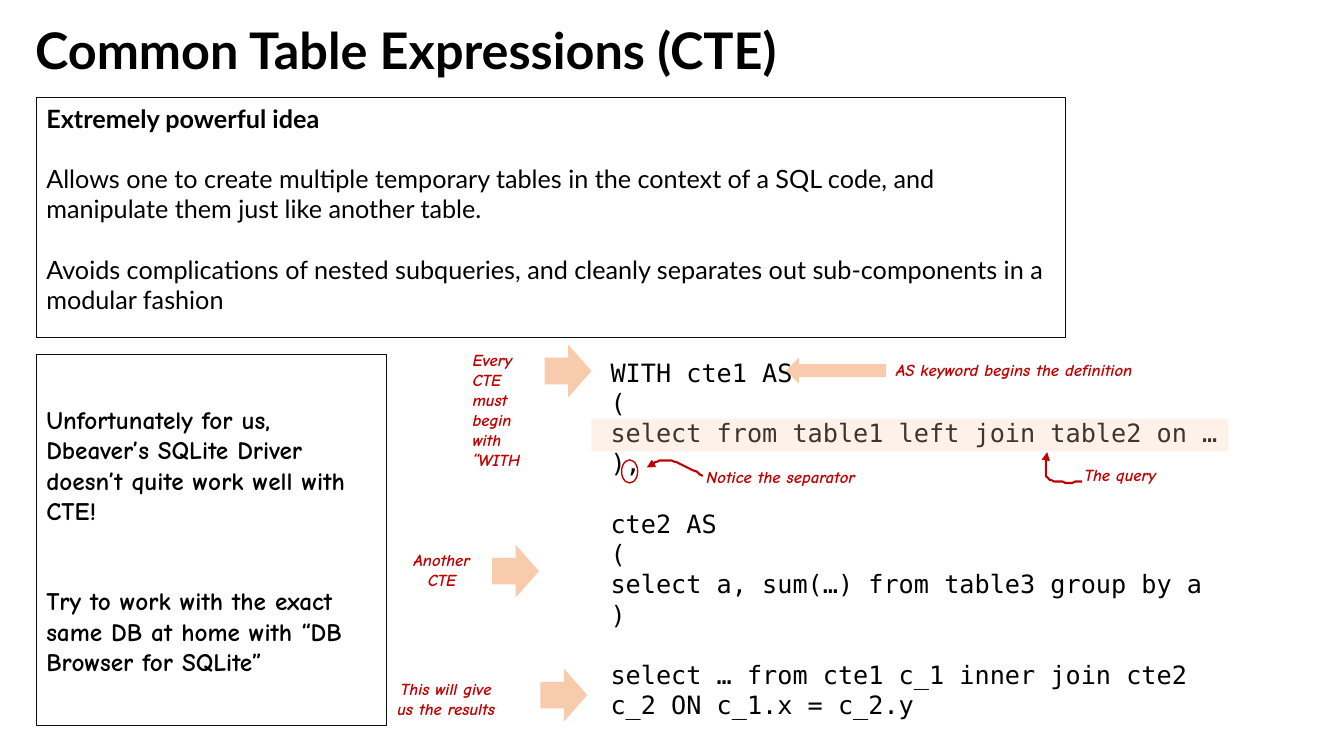
from lxml import etree
from pptx import Presentation
from pptx.dml.color import RGBColor
from pptx.enum.shapes import MSO_SHAPE
from pptx.enum.text import MSO_ANCHOR, PP_ALIGN
from pptx.oxml.ns import qn
from pptx.util import Pt

RECTANGLE, ELLIPSE = MSO_SHAPE.RECTANGLE, MSO_SHAPE.OVAL
RIGHT_ARROW, LEFT_ARROW = MSO_SHAPE.RIGHT_ARROW, MSO_SHAPE.LEFT_ARROW
TOP, MIDDLE = MSO_ANCHOR.TOP, MSO_ANCHOR.MIDDLE
LEFT, CENTER = PP_ALIGN.LEFT, PP_ALIGN.CENTER

SANS, MONO, HAND = "Lato", "DejaVu Sans Mono", "Comic Neue"
BLACK, BORDER, RED, PEACH = "000000", "0D0D0D", "C00000", "F8CBAD"
BODY_SIZE = 18
LINE = 1.2  # line pitch as a multiple of the text size


def rgb(color):
    return RGBColor.from_string(color)


def write(frame, paragraphs, font, size, color=BLACK, bold=False, italic=False,
          align=LEFT, anchor=TOP, gaps=None):
    """Fill a text frame; gaps maps a paragraph index to the blank lines before it."""
    frame.word_wrap = True
    frame.vertical_anchor = anchor
    frame.text = "\n".join(paragraphs)
    for index, paragraph in enumerate(frame.paragraphs):
        paragraph.alignment = align
        paragraph.line_spacing = Pt(size * LINE)
        paragraph.space_before = Pt((gaps or {}).get(index, 0) * size * LINE)
        for run in paragraph.runs:
            run.font.name = font
            run.font.size = Pt(size)
            run.font.bold = bold
            run.font.italic = italic
            run.font.color.rgb = rgb(color)


def add_text(slide, box, paragraphs, font, size, **style):
    frame = slide.shapes.add_textbox(*map(Pt, box)).text_frame
    write(frame, paragraphs, font, size, **style)


def add_note(slide, box, text, align=LEFT):
    add_text(slide, box, [text], HAND, 12, color=RED, bold=True, italic=True, align=align)


def add_filled(slide, kind, box, opacity=None):
    shape = slide.shapes.add_shape(kind, *map(Pt, box))
    shape.shadow.inherit = False
    shape.line.fill.background()
    shape.fill.solid()
    shape.fill.fore_color.rgb = rgb(PEACH)
    if opacity is not None:
        color = shape.fill._xPr.find(f".//{qn('a:srgbClr')}")
        etree.SubElement(color, qn("a:alpha"), val=str(opacity * 1000))


def outline(shape, color, width):
    shape.shadow.inherit = False
    shape.fill.background()
    shape.line.color.rgb = rgb(color)
    shape.line.width = Pt(width)


def add_outlined(slide, kind, box, color, width):
    shape = slide.shapes.add_shape(kind, *map(Pt, box))
    outline(shape, color, width)
    return shape.text_frame


def bezier(controls, steps=12):
    """Points on a cubic curve, without its start."""
    for step in range(1, steps + 1):
        t = step / steps
        weights = ((1 - t) ** 3, 3 * t * (1 - t) ** 2, 3 * t * t * (1 - t), t ** 3)
        yield tuple(sum(w * point[axis] for w, point in zip(weights, controls))
                    for axis in (0, 1))


def add_curved_arrow(slide, controls):
    """Draw joined cubic curves, each sharing its end with the next one's start."""
    points = [point for first in range(0, len(controls) - 1, 3)
              for point in bezier(controls[first:first + 4])]
    builder = slide.shapes.build_freeform(*controls[0], scale=Pt(1))
    builder.add_line_segments(points, close=False)
    curve = builder.convert_to_shape()
    outline(curve, RED, 1.5)
    etree.SubElement(curve.line._get_or_add_ln(), qn("a:tailEnd"), type="triangle")


def main():
    deck = Presentation()
    deck.slide_width, deck.slide_height = Pt(960), Pt(540)
    slide = deck.slides.add_slide(deck.slide_layouts[6])

    add_text(slide, (18, 11.5, 828, 47.5), ["Common Table Expressions (CTE)"],
             SANS, 36, bold=True, anchor=MIDDLE)

    idea = add_outlined(slide, RECTANGLE, (26, 70, 735, 171), BORDER, 0.75)
    write(idea, [
        "Extremely powerful idea",
        "Allows one to create multiple temporary tables in the context of a SQL code, "
        "and manipulate them just like another table.",
        "Avoids complications of nested subqueries, and cleanly separates out "
        "sub-components in a modular fashion",
    ], SANS, BODY_SIZE, gaps={1: 1, 2: 1})
    idea.paragraphs[0].runs[0].font.bold = True

    add_text(slide, (429, 251.5, 450, 277), [
        "WITH cte1 AS",
        "(",
        "select from table1 left join table2 on …",
        "),",
        "cte2 AS",
        "(",
        "select a, sum(…) from table3 group by a",
        ")",
        "select … from cte1 c_1 inner join cte2 c_2 ON c_1.x = c_2.y",
    ], MONO, BODY_SIZE, gaps={4: 1, 8: 1})

    for left, top in ((389, 246), (351.5, 389), (386, 477.5)):
        add_filled(slide, RIGHT_ARROW, (left, top, 33.5, 38))
    add_filled(slide, LEFT_ARROW, (561.5, 255.5, 71.5, 18.5))
    add_filled(slide, RECTANGLE, (422.5, 299, 455, 23.5), opacity=26)

    add_note(slide, (330.5, 246, 52.5, 106), "Every CTE must begin with “WITH")
    add_note(slide, (633, 253.5, 220, 24), "AS keyword begins the definition")
    add_note(slide, (767.5, 328.5, 180, 24), "The query")
    add_note(slide, (497.5, 330, 220, 24), "Notice the separator")
    add_note(slide, (286.5, 389, 58.5, 38), "Another CTE", CENTER)
    add_note(slide, (271.5, 481, 94.5, 38), "This will give us the results", CENTER)

    add_outlined(slide, ELLIPSE, (444, 328.5, 11.5, 16.5), RED, 1)
    add_curved_arrow(slide, [(773.3, 344.2), (763.2, 344.9), (753.1, 344.9), (748.8, 342),
                             (745.2, 338.4), (746.6, 331.2), (748.1, 323.3)])
    add_curved_arrow(slide, [(501.8, 339.8), (493.2, 334.8), (484.6, 329.8), (478.1, 329),
                             (471.6, 327.6), (466.6, 330.5), (462.2, 334.1)])

    driver = add_outlined(slide, RECTANGLE, (26, 253.5, 250, 265), BORDER, 0.75)
    write(driver, [
        "Unfortunately for us, Dbeaver’s SQLite Driver doesn’t quite work well with CTE!",
        "Try to work with the exact same DB at home with “DB Browser for SQLite”",
    ], HAND, BODY_SIZE, bold=True, anchor=MIDDLE, gaps={1: 2})

    deck.save("out.pptx")


if __name__ == "__main__":
    main()
